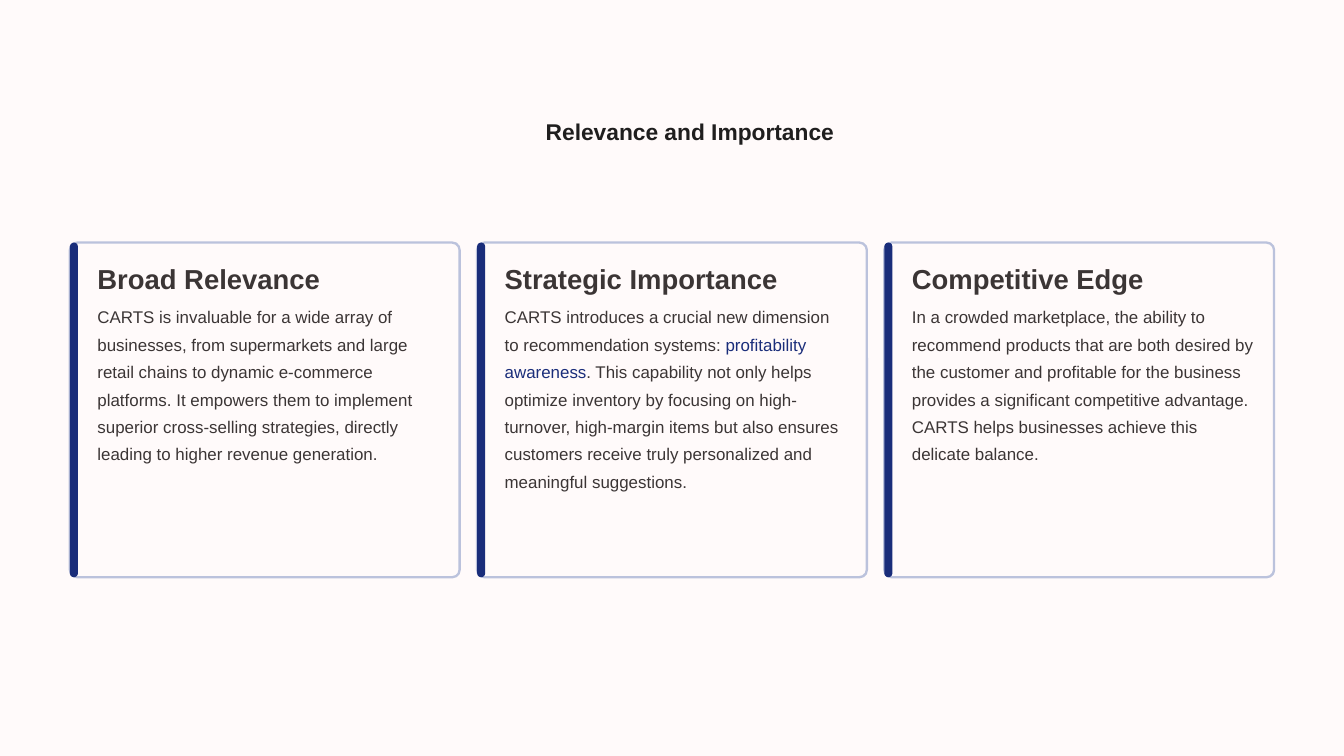
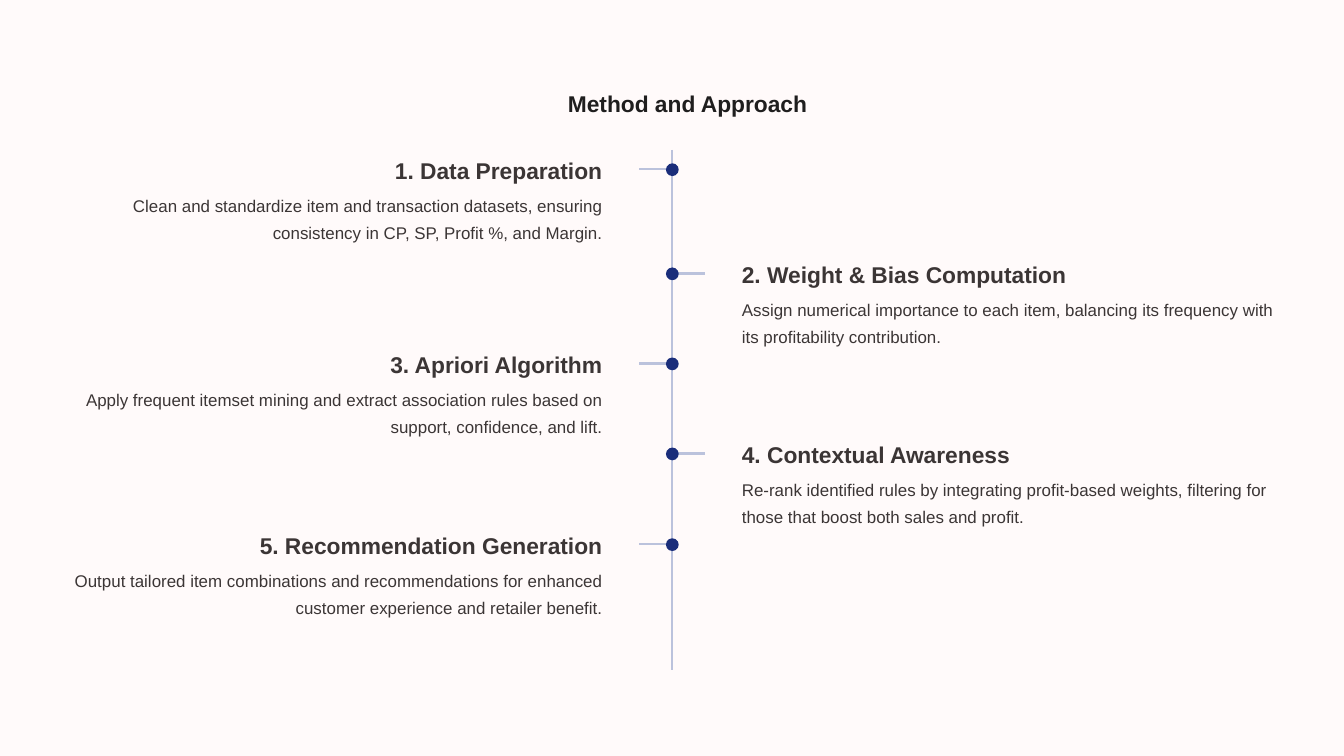
"""Build the relevance and method slides of the CARTS presentation."""
from dataclasses import dataclass
from typing import Any, NamedTuple

from lxml import etree
from pptx import Presentation
from pptx import util as u
from pptx.dml.color import RGBColor
from pptx.enum import shapes, text
from pptx.oxml.ns import qn

PX = u.Inches(1) // 100
SLIDE_W, SLIDE_H = 2000, 1125


class TextStyle(NamedTuple):
    size: float
    leading: float
    color: str
    bold: bool


@dataclass(frozen=True)
class Theme:
    font: str = "Arial"
    paper: str = "FFFAFA"
    navy: str = "1A2D7A"
    rule: str = "BBC2DC"
    stroke: float = 2.5
    title: TextStyle = TextStyle(24.4, 30.6, "1F1E1E", True)
    card_head: TextStyle = TextStyle(29.4, 36.2, "3B3535", True)
    step_head: TextStyle = TextStyle(24.4, 30.6, "3B3535", True)
    body: TextStyle = TextStyle(18.1, 29.4, "3B3535", False)


class Box(NamedTuple):
    x: int
    y: int
    w: int
    h: int

    def emu(self) -> list[int]:
        return [v * PX for v in self]


class Card(NamedTuple):
    heading: str
    heading_w: int
    body: tuple[str, ...]
    body_h: int


class Step(NamedTuple):
    heading: str
    heading_w: int
    body: str
    y: int


THEME = Theme()
LEFT, RIGHT = text.PP_ALIGN.LEFT, text.PP_ALIGN.RIGHT
CENTER = text.PP_ALIGN.CENTER

CARD_X, CARD_Y, CARD_W, CARD_H, CARD_PITCH = 104, 361, 580, 498, 606
CARD_RADIUS, ACCENT_W, CARD_INDENT, CARD_TEXT_W = 11, 12, 41, 510
SPINE_X, SPINE_TOP, SPINE_BOTTOM = 1000, 223, 997
DOT, TICK_NEAR, TICK_FAR = 19, 3, 49
STEP_GAP, STEP_TEXT_W = 104, 793

CARDS = [
    Card("Broad Relevance", 409, (
        "CARTS is invaluable for a wide array of businesses, from supermarkets "
        "and large retail chains to dynamic e-commerce platforms. It empowers "
        "them to implement superior cross-selling strategies, directly leading "
        "to higher revenue generation.",), 301),
    Card("Strategic Importance", 480, (
        "CARTS introduces a crucial new dimension to recommendation systems: ",
        "profitability awareness",
        ". This capability not only helps optimize inventory by focusing on "
        "high-turnover, high-margin items but also ensures customers receive "
        "truly personalized and meaningful suggestions."), 384),
    Card("Competitive Edge", 409, (
        "In a crowded marketplace, the ability to recommend products that are "
        "both desired by the customer and profitable for the business provides "
        "a significant competitive advantage. CARTS helps businesses achieve "
        "this delicate balance.",), 301),
]

STEPS = [
    Step("1. Data Preparation", 341,
         "Clean and standardize item and transaction datasets, ensuring "
         "consistency in CP, SP, Profit %, and Margin.", 252),
    Step("2. Weight & Bias Computation", 557,
         "Assign numerical importance to each item, balancing its frequency "
         "with its profitability contribution.", 407),
    Step("3. Apriori Algorithm", 373,
         "Apply frequent itemset mining and extract association rules based on "
         "support, confidence, and lift.", 541),
    Step("4. Contextual Awareness", 503,
         "Re-rank identified rules by integrating profit-based weights, "
         "filtering for those that boost both sales and profit.", 675),
    Step("5. Recommendation Generation", 607,
         "Output tailored item combinations and recommendations for enhanced "
         "customer experience and retailer benefit.", 810),
]


def apply(target: Any, values: dict[str, Any]) -> None:
    """Set each named attribute on the target."""
    for name, value in values.items():
        setattr(target, name, value)


def add_text(s: Any, box: Box, style: TextStyle, *parts: str,
             align: Any = LEFT) -> None:
    """Add a paragraph whose every second part is highlighted."""
    tf = s.shapes.add_textbox(*box.emu()).text_frame
    apply(tf, {"word_wrap": True, "margin_left": 0, "margin_right": 0,
               "margin_top": 0, "margin_bottom": 0,
               "auto_size": text.MSO_AUTO_SIZE.SHAPE_TO_FIT_TEXT})
    p = tf.paragraphs[0]
    apply(p, {"alignment": align, "line_spacing": u.Pt(style.leading)})
    for i, part in enumerate(parts):
        r = p.add_run()
        r.text = part
        apply(r.font, {"name": THEME.font, "size": u.Pt(style.size),
                       "bold": style.bold})
        color = THEME.navy if i % 2 else style.color
        r.font.color.rgb = RGBColor.from_string(color)


def add_filled(s: Any, kind: Any, box: Box, fill: str, line: str = "") -> Any:
    """Add a flat preset shape, outlined only when a line colour is given."""
    sp = s.shapes.add_shape(kind, *box.emu())
    sp.shadow.inherit = False
    sp.fill.solid()
    sp.fill.fore_color.rgb = RGBColor.from_string(fill)
    if line:
        sp.line.color.rgb = RGBColor.from_string(line)
        sp.line.width = u.Pt(THEME.stroke)
    else:
        sp.line.fill.background()
    return sp


def add_rule(s: Any, x1: int, y1: int, x2: int, y2: int) -> None:
    """Add a straight pale line without a shadow."""
    ends = [v * PX for v in (x1, y1, x2, y2)]
    sp = s.shapes.add_connector(shapes.MSO_CONNECTOR.STRAIGHT, *ends)
    sp.line.color.rgb = RGBColor.from_string(THEME.rule)
    sp.line.width = u.Pt(THEME.stroke)
    etree.SubElement(sp._element.spPr, qn("a:effectLst"))


def add_slide(prs: Any, title: str, box: Box) -> Any:
    """Add a blank slide with the shared background and title style."""
    s = prs.slides.add_slide(prs.slide_layouts[6])
    s.background.fill.solid()
    s.background.fill.fore_color.rgb = RGBColor.from_string(THEME.paper)
    add_text(s, box, THEME.title, title, align=CENTER)
    return s


def add_card(s: Any, x: int, card: Card) -> None:
    """Draw an outlined card with an accent bar, a heading and a body."""
    rounded = shapes.MSO_SHAPE.ROUNDED_RECTANGLE
    frame = add_filled(s, rounded, Box(x, CARD_Y, CARD_W, CARD_H),
                       THEME.paper, THEME.rule)
    frame.adjustments[0] = CARD_RADIUS / CARD_H
    bar = add_filled(s, rounded, Box(x, CARD_Y, ACCENT_W, CARD_H), THEME.navy)
    bar.adjustments[0] = 0.5
    left = x + CARD_INDENT
    add_text(s, Box(left, CARD_Y + 28, card.heading_w, 52),
             THEME.card_head, card.heading)
    add_text(s, Box(left, CARD_Y + 85, CARD_TEXT_W, card.body_h),
             THEME.body, *card.body)


def add_step(s: Any, step: Step, on_left: bool) -> None:
    """Draw a timeline marker with its text on the given side."""
    side = -1 if on_left else 1
    align = RIGHT if on_left else LEFT
    add_rule(s, SPINE_X - side * TICK_NEAR, step.y,
             SPINE_X + side * TICK_FAR, step.y)
    add_filled(s, shapes.MSO_SHAPE.OVAL,
               Box(SPINE_X - DOT // 2, step.y - DOT // 2, DOT, DOT), THEME.navy)
    edge = SPINE_X + side * STEP_GAP
    rows = [(step.heading, step.heading_w, -21, 41, THEME.step_head),
            (step.body, STEP_TEXT_W, 28, 93, THEME.body)]
    for words, w, dy, h, style in rows:
        x = edge - w if on_left else edge
        add_text(s, Box(x, step.y + dy, w, h), style, words, align=align)


def main() -> None:
    """Build both slides and save the presentation."""
    prs = Presentation()
    apply(prs, {"slide_width": SLIDE_W * PX, "slide_height": SLIDE_H * PX})

    s = add_slide(prs, "Relevance and Importance", Box(685, 174, 683, 41))
    for i, card in enumerate(CARDS):
        add_card(s, CARD_X + i * CARD_PITCH, card)

    s = add_slide(prs, "Method and Approach", Box(786, 131, 474, 41))
    add_rule(s, SPINE_X, SPINE_TOP, SPINE_X, SPINE_BOTTOM)
    for i, step in enumerate(STEPS):
        add_step(s, step, on_left=i % 2 == 0)

    prs.save("out.pptx")


if __name__ == "__main__":
    main()
